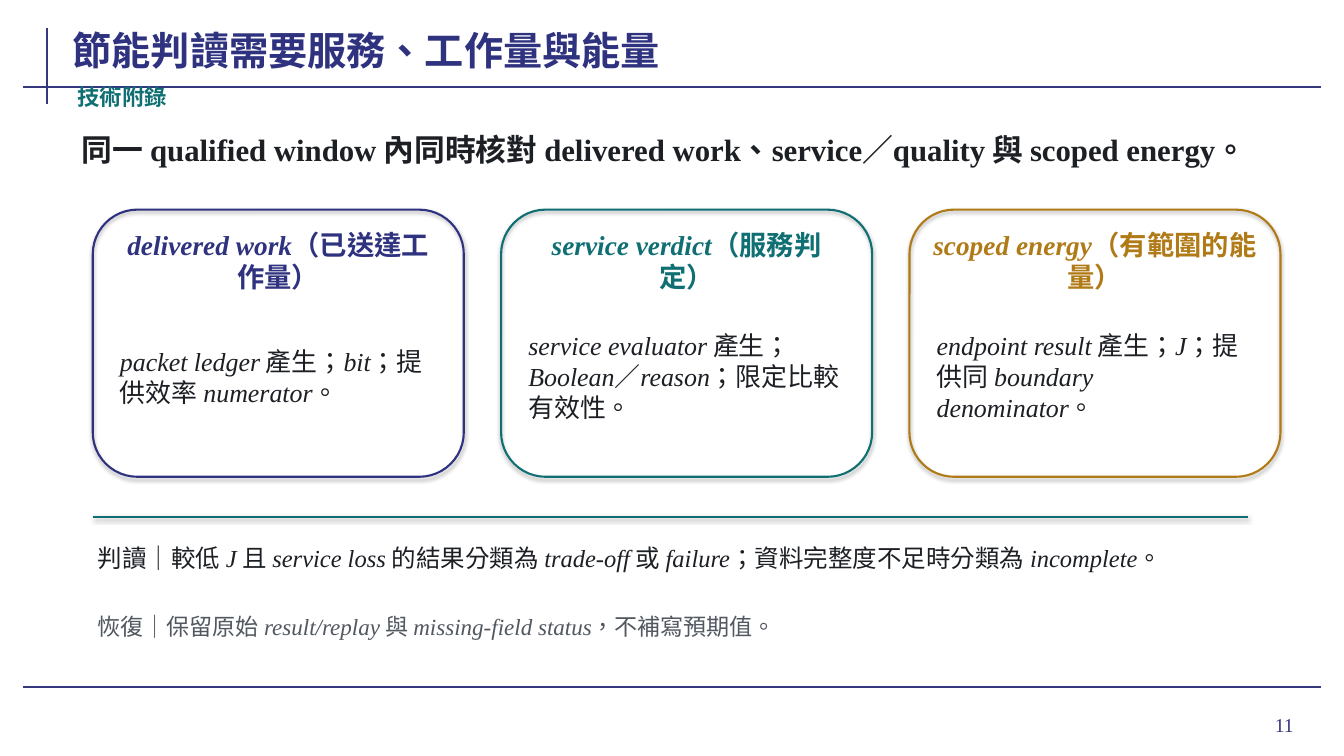
"""Build the slide on reading energy savings from service, work and energy."""
from dataclasses import dataclass

import lxml.etree
import pptx
import pptx.dml.color
import pptx.enum.shapes
import pptx.enum.text
import pptx.oxml.ns
import pptx.shapes.base
import pptx.shapes.connector
import pptx.slide
import pptx.util

ALIGN = pptx.enum.text.PP_ALIGN
ANCHOR = pptx.enum.text.MSO_ANCHOR
qn = pptx.oxml.ns.qn


@dataclass(frozen=True)
class Theme:
    indigo: str = "2F327F"
    frame: str = "35377F"
    teal: str = "0F6F73"
    ochre: str = "B07A17"
    ink: str = "1C1F24"
    muted: str = "525860"
    chinese: str = "Noto Sans CJK SC"
    latin: str = "Times New Roman"
    title: float = 28
    claim: float = 22
    heading: float = 19.5
    body: float = 18.5
    verdict: float = 17.5
    recovery: float = 16.5
    section: float = 16
    number: float = 14


THEME = Theme()


@dataclass(frozen=True)
class Area:
    column: float
    row: float
    columns: float
    rows: float


@dataclass(frozen=True)
class Label:
    """Text whose Latin passages stand between asterisks."""

    area: Area
    text: str
    size: float
    color: str
    bold: bool = False
    italic: bool = True
    align: ALIGN = ALIGN.LEFT
    anchor: ANCHOR = ANCHOR.MIDDLE
    inset: float = 0.5
    grow: bool = True


@dataclass(frozen=True)
class Rule:
    start: tuple[float, float]
    end: tuple[float, float]
    color: str = THEME.frame
    width: float = 1.5
    shadow: bool = False


@dataclass(frozen=True)
class Card:
    heading: str
    body: str
    color: str


FRAME_RULES = [
    Rule((4.7, 2.8), (4.7, 10.3)),
    Rule((2.3, 8.6), (131, 8.6)),
    Rule((2.3, 68.2), (131, 68.2)),
]
DIVIDER = Rule((9.2, 51.3), (123.8, 51.3), THEME.teal, 1.6, True)
HEADER_LABELS = [
    Label(Area(119.6, 69.3, 9.7, 5.2), "*11*", THEME.number, THEME.frame,
          italic=False, align=ALIGN.RIGHT, inset=1, grow=False),
    Label(Area(7.2, 2, 103.5, 5.3), "節能判讀需要服務、工作量與能量", THEME.title,
          THEME.indigo, bold=True, anchor=ANCHOR.BOTTOM, inset=0, grow=False),
    Label(Area(7.2, 8.2, 15.5, 2.7), "技術附錄", THEME.section, THEME.teal, bold=True),
    Label(Area(7.6, 11.2, 119.5, 7.2),
          "同一 *qualified window* 內同時核對 *delivered work*、*service*／*quality* 與 "
          "*scoped energy*。", THEME.claim, THEME.ink, bold=True, italic=False),
]
FOOTER_LABELS = [
    Label(Area(9.2, 51.8, 114.6, 7),
          "判讀｜較低 *J* 且 *service loss* 的結果分類為 *trade-off* 或 *failure*"
          "；資料完整度不足時分類為 *incomplete*。", THEME.verdict, THEME.ink),
    Label(Area(9.2, 59.2, 114.6, 5.8),
          "恢復｜保留原始 *result/replay* 與 *missing-field status*，不補寫預期值。",
          THEME.recovery, THEME.muted),
]
CARDS = [
    Card("*delivered work*（已送達工作量）",
         "*packet ledger* 產生；*bit*；提供效率 *numerator*。", THEME.indigo),
    Card("*service verdict*（服務判定）",
         "*service evaluator* 產生；*Boolean*／*reason*；限定比較有效性。", THEME.teal),
    Card("*scoped energy*（有範圍的能量）",
         "*endpoint result* 產生；*J*；提供同 *boundary denominator*。", THEME.ochre),
]
CARD_AREA = Area(9.2, 20.8, 36.8, 26.5)
CARD_PITCH = 40.5


def cells(count: float) -> pptx.util.Length:
    return pptx.util.Inches(count / 10)


def place(area: Area) -> list[pptx.util.Length]:
    return [cells(count) for count in (area.column, area.row, area.columns, area.rows)]


def rgb(color: str) -> pptx.dml.color.RGBColor:
    return pptx.dml.color.RGBColor.from_string(color)


def set_effects(shape: pptx.shapes.base.BaseShape, distance: float = 0, alpha: int = 0) -> None:
    properties = shape._element.spPr
    effects = lxml.etree.SubElement(properties, qn("a:effectLst"))
    if alpha:
        shadow = lxml.etree.SubElement(
            effects, qn("a:outerShdw"), blurRad=str(pptx.util.Pt(3.1)),
            dist=str(pptx.util.Pt(distance)), dir="5400000", rotWithShape="0")
        black = lxml.etree.SubElement(shadow, qn("a:srgbClr"), val="000000")
        lxml.etree.SubElement(black, qn("a:alpha"), val=str(alpha * 1000))


def draw_rule(slide: pptx.slide.Slide, rule: Rule) -> None:
    line = slide.shapes.add_connector(
        pptx.enum.shapes.MSO_CONNECTOR.STRAIGHT,
        *(cells(count) for count in rule.start + rule.end))
    line.line.color.rgb = rgb(rule.color)
    line.line.width = pptx.util.Pt(rule.width)
    set_effects(line, 1.6, 38 if rule.shadow else 0)


def draw_label(slide: pptx.slide.Slide, label: Label) -> None:
    frame = slide.shapes.add_textbox(*place(label.area)).text_frame
    frame.word_wrap = True
    frame.vertical_anchor = label.anchor
    sizing = pptx.enum.text.MSO_AUTO_SIZE
    frame.auto_size = sizing.SHAPE_TO_FIT_TEXT if label.grow else sizing.NONE
    frame.margin_left = frame.margin_right = cells(label.inset)
    frame.margin_top = frame.margin_bottom = cells(min(label.inset, 0.5))
    paragraph = frame.paragraphs[0]
    paragraph.alignment = label.align
    paragraph.font.size = pptx.util.Pt(label.size)
    paragraph.font.bold = label.bold
    paragraph.font.color.rgb = rgb(label.color)
    for index, passage in enumerate(label.text.split("*")):
        if passage:
            is_latin = index % 2 == 1
            run = paragraph.add_run()
            run.text = passage
            run.font.name = THEME.latin if is_latin else THEME.chinese
            run.font.italic = is_latin and label.italic
            properties = run._r.get_or_add_rPr()
            properties.set("lang", "en-US" if is_latin else "zh-TW")
            lxml.etree.SubElement(properties, qn("a:ea"), typeface=run.font.name)


def draw_card(slide: pptx.slide.Slide, card: Card, index: int) -> None:
    left, top = CARD_AREA.column + index * CARD_PITCH, CARD_AREA.row
    area = Area(left, top, CARD_AREA.columns, CARD_AREA.rows)
    outline = slide.shapes.add_shape(
        pptx.enum.shapes.MSO_SHAPE.ROUNDED_RECTANGLE, *place(area))
    outline.fill.background()
    outline.line.color.rgb = rgb(card.color)
    outline.line.width = pptx.util.Pt(1.5)
    set_effects(outline, 1.8, 35)
    draw_label(slide, Label(Area(left + 1.8, top + 1.9, 33.2, 6.3), card.heading,
                            THEME.heading, card.color, bold=True, align=ALIGN.CENTER))
    draw_label(slide, Label(Area(left + 2.2, top + 9.3, 32.4, 14.5), card.body,
                            THEME.body, THEME.ink))


def main() -> None:
    presentation = pptx.Presentation()
    presentation.slide_width = pptx.util.Inches(13.33)
    presentation.slide_height = pptx.util.Inches(7.5)
    slide = presentation.slides.add_slide(presentation.slide_layouts[6])
    for rule in FRAME_RULES:
        draw_rule(slide, rule)
    for label in HEADER_LABELS:
        draw_label(slide, label)
    for index, card in enumerate(CARDS):
        draw_card(slide, card, index)
    draw_rule(slide, DIVIDER)
    for label in FOOTER_LABELS:
        draw_label(slide, label)
    presentation.save("out.pptx")


if __name__ == "__main__":
    main()
